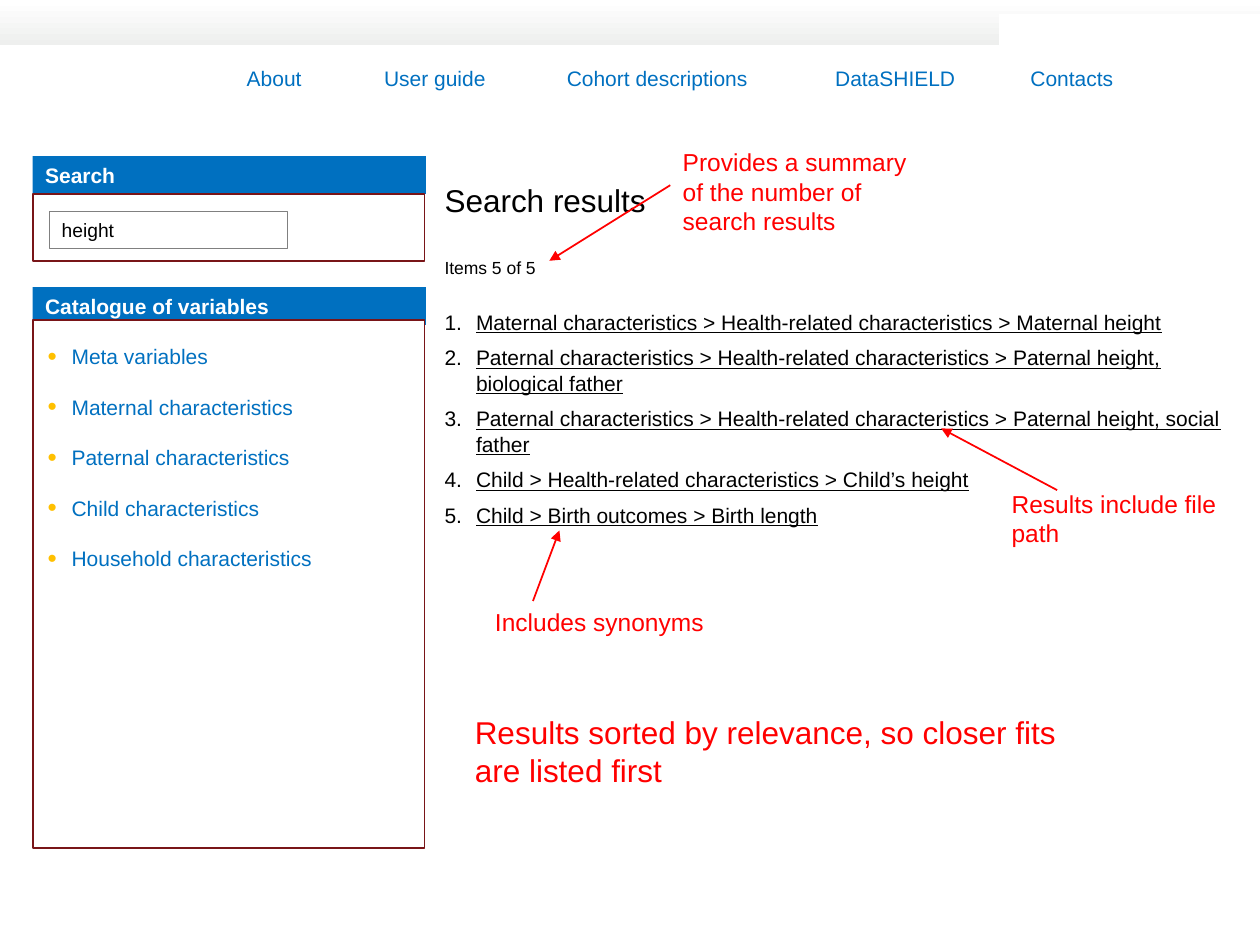
from lxml.etree import SubElement
from pptx import Presentation
from pptx.dml.color import RGBColor
from pptx.enum.shapes import MSO_CONNECTOR as Connector, MSO_SHAPE as Shape
from pptx.enum.text import MSO_ANCHOR as Anchor, PP_ALIGN as Align
from pptx.oxml.ns import qn
from pptx.util import Inches, Pt

BLACK = RGBColor(0x00, 0x00, 0x00)
WHITE = RGBColor(0xFF, 0xFF, 0xFF)
PALE = RGBColor(0xEE, 0xEF, 0xEE)
GREY = RGBColor(0x80, 0x80, 0x80)
BLUE = RGBColor(0x00, 0x70, 0xC0)
MAROON = RGBColor(0x79, 0x15, 0x18)
RED = RGBColor(0xFF, 0x00, 0x00)
FONT = "Arial"

NAV_ITEMS = ["About", "User guide", "Cohort descriptions", "DataSHIELD", "Contacts"]
NAV_TABS = [1.09, 2.54, 4.67, 6.22]
CATALOGUE = ["Meta variables", "Maternal characteristics", "Paternal characteristics",
             "Child characteristics", "Household characteristics"]
RESULTS = [
    "Maternal characteristics > Health-related characteristics > Maternal height",
    "Paternal characteristics > Health-related characteristics > Paternal height, biological father",
    "Paternal characteristics > Health-related characteristics > Paternal height, social father",
    "Child > Health-related characteristics > Child’s height",
    "Child > Birth outcomes > Birth length",
]
# Text, size, box, arrow start and arrow tip
NOTES = [
    ("Includes synonyms", 14, (3.83, 4.77, 2.01, 0.34), (4.23, 4.77), (4.44, 4.21)),
    ("Provides a summary of the number of search results", 14,
     (5.32, 1.12, 2.01, 0.81), (5.32, 1.47), (4.36, 2.07)),
    ("Results include file path", 14, (7.93, 3.83, 2.01, 0.57), (8.39, 3.89), (7.47, 3.4)),
    ("Results sorted by relevance, so closer fits are listed first", 18,
     (3.67, 5.61, 5.17, 0.71), None, None),
]


def add_span(para, text, size, color, bold=False, underline=False):
    span = para.add_run()
    span.text = text
    font = span.font
    font.name, font.size, font.bold, font.underline = FONT, Pt(size), bold, underline
    font.color.rgb = color


def add_rect(page, box, fill=None, line=None, width=1):
    rect = page.shapes.add_shape(Shape.RECTANGLE, *map(Inches, box))
    rect.shadow.inherit = False
    if fill is None:
        rect.fill.background()
    else:
        rect.fill.solid()
        rect.fill.fore_color.rgb = fill
    if line is None:
        rect.line.fill.background()
    else:
        rect.line.color.rgb = line
        rect.line.width = Pt(width)
    return rect


def label_rect(rect, text, size, color, bold=False):
    frame = rect.text_frame
    frame.word_wrap = True
    frame.vertical_anchor = Anchor.MIDDLE
    para = frame.paragraphs[0]
    para.alignment = Align.LEFT
    add_span(para, text, size, color, bold)


def add_text_frame(page, box):
    frame = page.shapes.add_textbox(*map(Inches, box)).text_frame
    frame.word_wrap = True
    return frame


def next_para(frame):
    first = frame.paragraphs[0]
    return frame.add_paragraph() if first.runs else first


def set_hanging(para, indent):
    props = para._p.get_or_add_pPr()
    props.set("marL", str(Inches(indent)))
    props.set("indent", str(-Inches(indent)))
    return props


def add_top_band(page, box):
    left, top, width, height = box
    band = add_rect(page, box, WHITE)
    band.fill.gradient()
    band.fill.gradient_angle = 270
    for stop, color in zip(band.fill.gradient_stops, (WHITE, PALE)):
        stop.color.rgb = color
    # White corner over the right end of the band
    add_rect(page, (left + 7.93, top + 0.11, width - 7.93, 0.64), WHITE)


def add_navigation(page, box):
    para = add_text_frame(page, box).paragraphs[0]
    tabs = SubElement(para._p.get_or_add_pPr(), qn("a:tabLst"))
    for stop in NAV_TABS:
        SubElement(tabs, qn("a:tab"), pos=str(Inches(stop)), algn="l")
    add_span(para, "\t".join(NAV_ITEMS), 12, BLUE)


def add_panel(page, box, title, body_top):
    left, top, width, height = box
    header = add_rect(page, (left, top, width, 0.3), BLUE)
    label_rect(header, title, 12, WHITE, bold=True)
    add_rect(page, (left, top + body_top, width - 0.01, height - body_top), WHITE, MAROON)


def add_search(page, box):
    left, top = box[:2]
    add_panel(page, box, "Search", 0.3)
    field = add_rect(page, (left + 0.13, top + 0.44, 1.89, 0.29), None, GREY, 0.75)
    label_rect(field, "height", 11, BLACK)


def add_catalogue(page, box):
    left, top = box[:2]
    add_panel(page, box, "Catalogue of variables", 0.26)
    frame = add_text_frame(page, (left + 0.02, top + 0.4, 3, 1.92))
    for index, name in enumerate(CATALOGUE):
        para = next_para(frame)
        props = set_hanging(para, 0.19)
        color = SubElement(props, qn("a:buClr"))
        SubElement(color, qn("a:srgbClr"), val="FFC000")
        SubElement(props, qn("a:buSzPct"), val="125000")
        SubElement(props, qn("a:buFont"), typeface=FONT)
        SubElement(props, qn("a:buChar"), char="•")
        if index:
            para.space_before = Pt(14.4)
        add_span(para, name, 12, BLUE)


def add_results(page, box):
    frame = add_text_frame(page, box)
    for text, size, gap in (("Search results", 18, 21.5), ("Items 5 of 5", 10, 18)):
        para = next_para(frame)
        para.space_after = Pt(gap)
        add_span(para, text, size, BLACK)
    for text in RESULTS:
        para = next_para(frame)
        props = set_hanging(para, 0.25)
        SubElement(props, qn("a:buFont"), typeface=FONT)
        SubElement(props, qn("a:buAutoNum"), type="arabicPeriod")
        para.space_after = Pt(6)
        add_span(para, text, 12, BLACK, underline=True)


def add_arrow(page, start, tip):
    arrow = page.shapes.add_connector(Connector.STRAIGHT, *map(Inches, start + tip))
    arrow.line.color.rgb = RED
    arrow.line.width = Pt(1)
    SubElement(arrow.line._get_or_add_ln(), qn("a:tailEnd"), type="triangle")
    SubElement(arrow._element.spPr, qn("a:effectLst"))


def add_note(page, text, size, box, start, tip):
    if start:
        add_arrow(page, start, tip)
    add_span(add_text_frame(page, box).paragraphs[0], text, size, RED)


def main():
    deck = Presentation()
    deck.slide_width, deck.slide_height = Inches(10), Inches(7.5)
    page = deck.slides.add_slide(deck.slide_layouts[6])
    # Page header
    add_top_band(page, (0, 0, 10, 0.36))
    add_navigation(page, (1.86, 0.47, 7.59, 0.3))
    # Sidebar
    add_search(page, (0.26, 1.24, 3.12, 0.83))
    add_catalogue(page, (0.26, 2.28, 3.12, 4.45))
    # Results and the red notes on them
    add_results(page, (3.43, 1.39, 6.43, 4.02))
    for note in NOTES:
        add_note(page, *note)
    deck.save("out.pptx")


if __name__ == "__main__":
    main()
